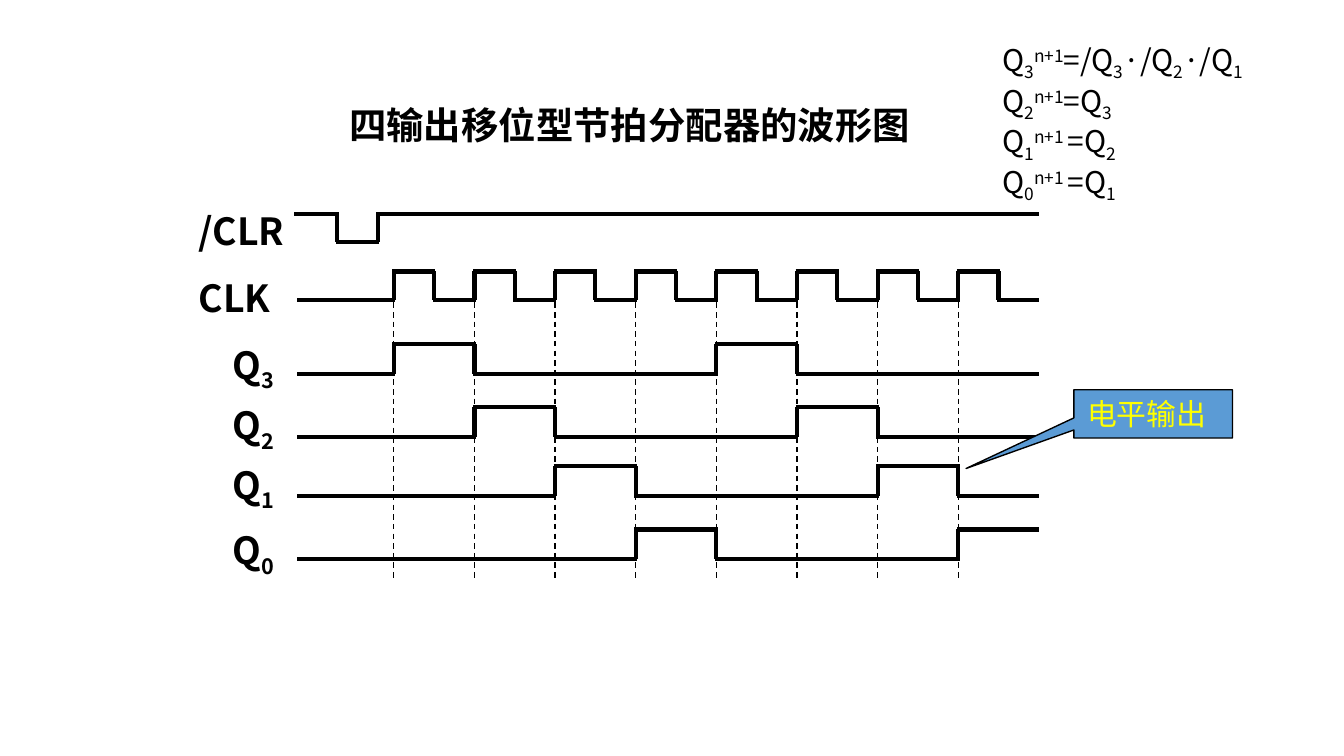
import pptx
import pptx.dml.color
import pptx.enum.dml
import pptx.enum.shapes
import pptx.enum.text
import pptx.util
from lxml import etree
from pptx.oxml.ns import qn

Inches = pptx.util.Inches
Pt = pptx.util.Pt

# Content: text runs are (text, baseline shift in percent)
JP_FONT = "Noto Sans CJK JP"
SC_FONT = "Noto Sans CJK SC"
SUB, SUP = -25, 30

TITLE = "四输出移位型节拍分配器的波形图"
CALLOUT = "电平输出"
EQUATIONS = [
    [("Q", 0), ("3", SUB), ("n+1", SUP), ("=/Q", 0), ("3", SUB),
     ("·/Q", 0), ("2", SUB), ("·/Q", 0), ("1", SUB)],
    [("Q", 0), ("2", SUB), ("n+1", SUP), ("=Q", 0), ("3", SUB)],
    [("Q", 0), ("1", SUB), ("n+1 ", SUP), ("=Q", 0), ("2", SUB)],
    [("Q", 0), ("0", SUB), ("n+1 ", SUP), ("=Q", 0), ("1", SUB)],
]

# Clock grid: eight rising edges at an equal period
PERIOD = 0.6
WAVE_END = 7.73
EDGES = [2.93 + PERIOD * i for i in range(8)]
CLOCK_TOGGLES = [x for edge in EDGES for x in (edge, edge + PERIOD / 2)]


def edges_at(*indexes):
    return [EDGES[i] for i in indexes]


# Label runs, label box, line spacing, start x, (first level, other level), toggles
SIGNALS = [
    ([("/CLR", 0)], (1.38, 1.5, 1.13, 0.4), 24, 2.19, (1.59, 1.8), [2.51, 2.81]),
    ([("CLK", 0)], (1.38, 2, 1.08, 0.44), 24, 2.21, (2.23, 2.02), CLOCK_TOGGLES),
    ([("Q", 0), ("3", SUB)], (1.63, 2.5, 0.79, 0.4), 27, 2.21, (2.78, 2.56), edges_at(0, 1, 4, 5)),
    ([("Q", 0), ("2", SUB)], (1.63, 2.95, 0.79, 0.49), 27, 2.21, (3.25, 3.03), edges_at(1, 2, 5, 6)),
    ([("Q", 0), ("1", SUB)], (1.63, 3.39, 0.79, 0.49), 27, 2.21, (3.69, 3.47), edges_at(2, 3, 6, 7)),
    ([("Q", 0), ("0", SUB)], (1.63, 3.88, 0.79, 0.4), 27, 2.21, (4.16, 3.94), edges_at(3, 4, 7)),
]


def color(value):
    return pptx.dml.color.RGBColor.from_string(value)


def fill_paragraph(paragraph, runs, size, font, text_color="000000", bold=False, spacing=None):
    if spacing:
        paragraph.line_spacing = Pt(spacing)
    for text, shift in runs:
        run = paragraph.add_run()
        run.text = text
        run.font.size = Pt(size)
        run.font.bold = bold
        run.font.name = font
        run.font.color.rgb = color(text_color)
        properties = run.font._element
        etree.SubElement(properties, qn("a:ea")).set("typeface", font)
        if shift:
            properties.set("baseline", str(shift * 1000))


def add_text(slide, box, paragraphs, size, font, bold, spacing):
    shape = slide.shapes.add_textbox(*map(Inches, box))
    frame = shape.text_frame
    frame.word_wrap = True
    for index, runs in enumerate(paragraphs):
        paragraph = frame.add_paragraph() if index else frame.paragraphs[0]
        fill_paragraph(paragraph, runs, size, font, bold=bold, spacing=spacing)


def add_line(slide, start, end, width=2.25, dashed=False):
    line = slide.shapes.add_connector(
        pptx.enum.shapes.MSO_CONNECTOR.STRAIGHT, *map(Inches, (*start, *end)))
    line.line.color.rgb = color("000000")
    line.line.width = Pt(width)
    if dashed:
        line.line.dash_style = pptx.enum.dml.MSO_LINE.DASH
    etree.SubElement(line._element.spPr, qn("a:effectLst"))


def add_wave(slide, start, levels, toggles):
    overlap = 0.01  # closes the corners
    stops = [start, *toggles, WAVE_END]
    for index, (left, right) in enumerate(zip(stops, stops[1:])):
        level, following = levels[index % 2], levels[(index + 1) % 2]
        outer_left = left - overlap if index else left
        outer_right = right + overlap if right != WAVE_END else right
        add_line(slide, (outer_left, level), (outer_right, level))
        if right != WAVE_END:
            top, bottom = sorted((level, following))
            add_line(slide, (right, top), (right, bottom))


presentation = pptx.Presentation()
presentation.slide_width = Inches(10)
presentation.slide_height = presentation.slide_width * 9 // 16
slide = presentation.slides.add_slide(presentation.slide_layouts[6])

# Title and state equations
add_text(slide, (2.5, 0.75, 4.64, 0.69), [[(TITLE, 0)]], 20, JP_FONT, True, 21)
add_text(slide, (7.36, 0.26, 2.51, 1.18), EQUATIONS, 16, JP_FONT, False, 21.8)

# Signals with their labels
for label, box, spacing, start, levels, toggles in SIGNALS:
    add_wave(slide, start, levels, toggles)
    add_text(slide, box, [label], 20, SC_FONT, True, spacing)

# Dashed guides at the rising clock edges
for x in EDGES:
    add_line(slide, (x, 2.25), (x, 4.32), 0.75, dashed=True)

# Callout
callout = slide.shapes.add_shape(
    pptx.enum.shapes.MSO_SHAPE.RECTANGULAR_CALLOUT, *map(Inches, (7.99, 2.9, 1.18, 0.36)))
callout.adjustments[0] = -1.18
callout.adjustments[1] = 1.13
callout.shadow.inherit = False
callout.fill.solid()
callout.fill.fore_color.rgb = color("5B9BD5")
callout.line.color.rgb = color("000000")
callout.line.width = Pt(0.75)
callout.text_frame.vertical_anchor = pptx.enum.text.MSO_ANCHOR.MIDDLE
callout_paragraph = callout.text_frame.paragraphs[0]
callout_paragraph.alignment = pptx.enum.text.PP_ALIGN.LEFT
fill_paragraph(callout_paragraph, [(CALLOUT, 0)], 16, JP_FONT, "FFFF00")

presentation.save("out.pptx")
